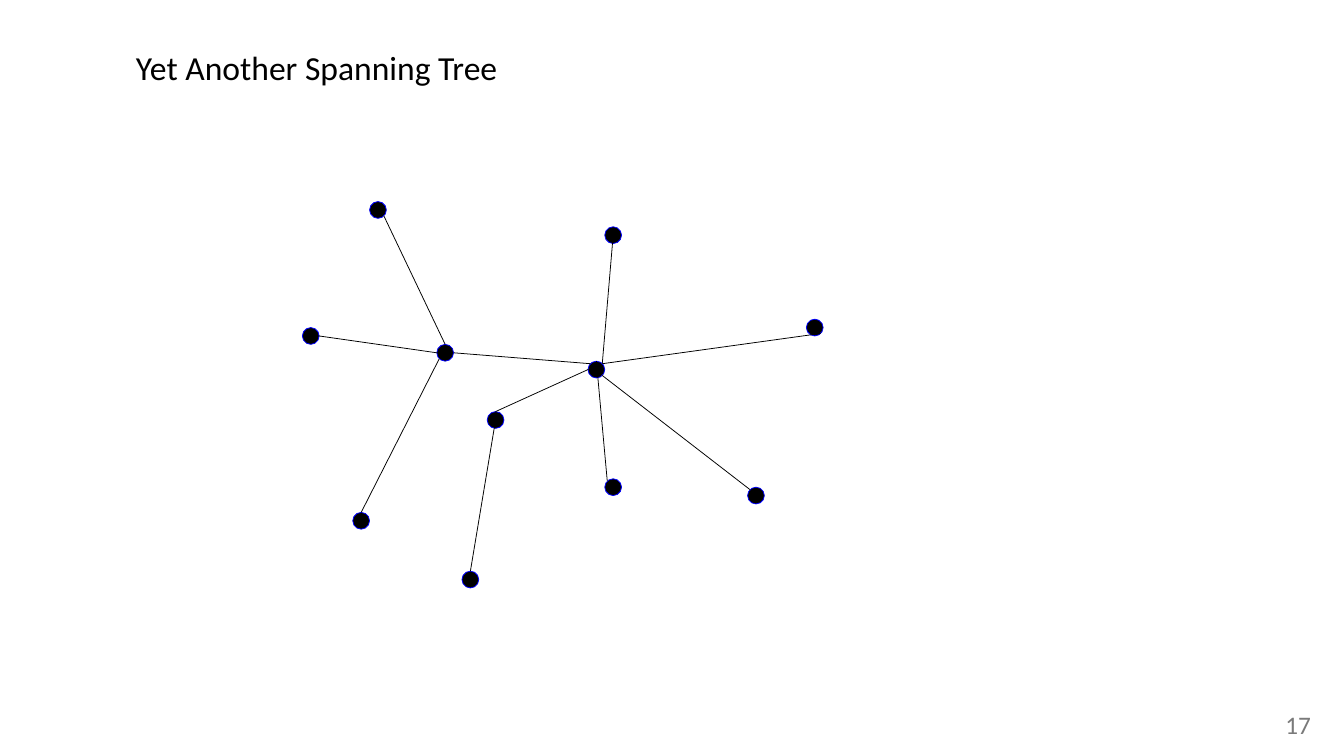
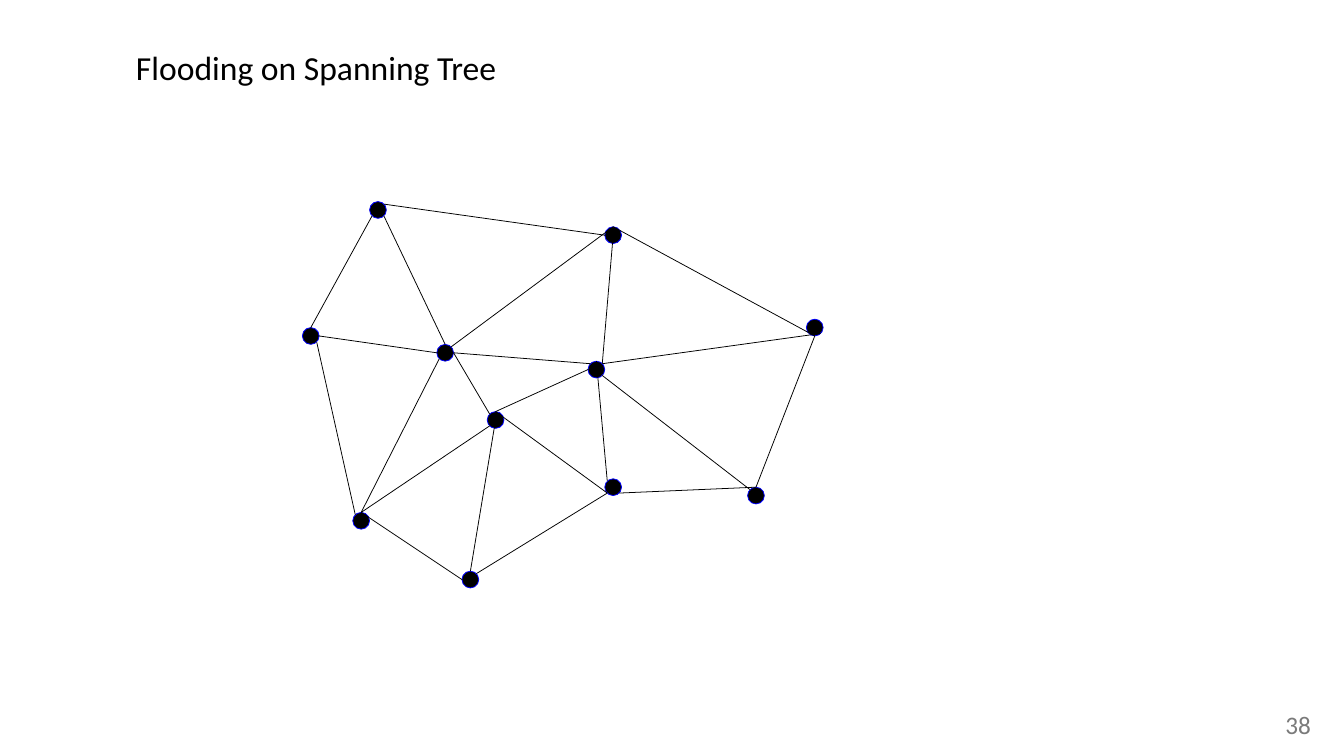
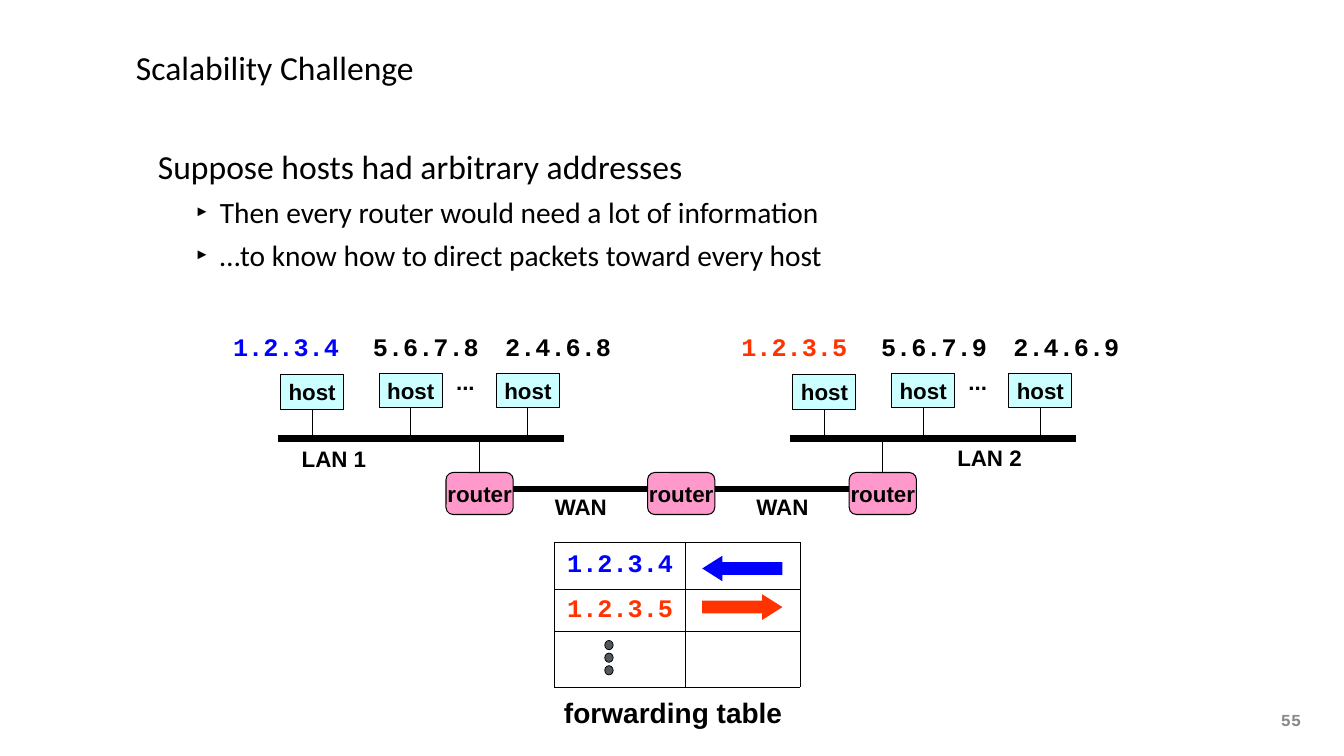
import lxml.etree
import pptx
import pptx.dml.color
import pptx.enum.shapes
import pptx.enum.text
import pptx.oxml.ns
import pptx.util

COLUMNS, ROWS = 160, 90  # the slide's grid; one cell is 8 points
BLACK = pptx.dml.color.RGBColor(0x00, 0x00, 0x00)
BLUE = pptx.dml.color.RGBColor(0x00, 0x00, 0xFF)
ORANGE = pptx.dml.color.RGBColor(0xFF, 0x33, 0x00)
CYAN = pptx.dml.color.RGBColor(0xCC, 0xFF, 0xFF)
PINK = pptx.dml.color.RGBColor(0xFF, 0x99, 0xCC)
SLATE = pptx.dml.color.RGBColor(0x53, 0x58, 0x5F)
GRAY = pptx.dml.color.RGBColor(0x7A, 0x7A, 0x7A)
LIGHT_GRAY = pptx.dml.color.RGBColor(0x89, 0x89, 0x89)
SANS, LABEL, MONO = "Calibri", "Arial", "Courier New"

SHAPE = pptx.enum.shapes.MSO_SHAPE
ALIGN = pptx.enum.text.PP_ALIGN
ANCHOR = pptx.enum.text.MSO_ANCHOR
AUTO_SIZE = pptx.enum.text.MSO_AUTO_SIZE
qn = pptx.oxml.ns.qn

# Node centres in grid cells
NODES = {
    "A": (45, 25), "B": (37, 40), "C": (73, 28), "D": (73, 58),
    "E": (56, 69), "F": (53, 42), "G": (97, 39), "H": (59, 50),
    "I": (43, 62), "J": (71, 44), "K": (90, 59),
}
# Where an edge meets a node, as an offset from its centre
SIDES = {
    "c": (0, 0), "n": (0, -1), "s": (0, 1), "w": (-1, 0), "e": (1, 0),
    "nw": (-0.7, -0.7), "ne": (0.7, -0.7), "sw": (-0.7, 0.7), "se": (0.7, 0.7),
}
TREE_EDGES = ("Ase-Fn Jse-Knw Cc-Jne Jn-Dnw Hc-En Fe-Jnw Be-Fw In-Fsw "
              "Hn-Jw Jne-Gse").split()
OTHER_EDGES = ("Asw-Bn Bse-Inw Fe-Hnw Cn-Gs Gs-Kn In-Ew Hn-Dsw Kn-Dse "
               "In-Hsw Ene-Dsw Ane-Cw Fne-Cn").split()


def cells(count):
    return pptx.util.Pt(8 * count)


def place(box, left, top, width, height):
    box.left, box.top = cells(left), cells(top)
    box.width, box.height = cells(width), cells(height)


def style(para, font, size, color=BLACK, bold=False, align=ALIGN.LEFT):
    para.alignment = align
    para.font.name = font
    para.font.size = pptx.util.Pt(size)
    para.font.color.rgb = color
    para.font.bold = bold


def set_margins(frame, margin):
    frame.margin_left = frame.margin_right = margin
    frame.margin_top = frame.margin_bottom = margin


def write(box, text, font=LABEL, size=21.3, color=BLACK, bold=True,
          align=ALIGN.CENTER, anchor=ANCHOR.MIDDLE):
    """Put one unwrapped line of text in a shape or text box."""
    frame = box.text_frame
    frame.word_wrap = False
    frame.vertical_anchor = anchor
    frame.text = text
    style(frame.paragraphs[0], font, size, color, bold, align)
    return frame


def add_label(page, text, left, top, width, height=4.1, **look):
    box = page.shapes.add_textbox(*map(cells, (left, top, width, height)))
    return write(box, text, **look)


def add_address(page, text, left, top, color):
    add_label(page, text, left, top, 14.5, 4.5, font=MONO, size=24,
              color=color, anchor=ANCHOR.TOP)


def add_block(page, kind, left, top, width, height, fill, outline=None, weight=1):
    block = page.shapes.add_shape(kind, *map(cells, (left, top, width, height)))
    block.shadow.inherit = False
    block.fill.solid()
    block.fill.fore_color.rgb = fill
    if outline is None:
        block.line.fill.background()
    else:
        block.line.color.rgb = outline
        block.line.width = pptx.util.Pt(weight)
    return block


def add_line(page, start, end, weight=1):
    line = page.shapes.add_connector(pptx.enum.shapes.MSO_CONNECTOR.STRAIGHT,
                                     *map(cells, (*start, *end)))
    line.line.color.rgb = BLACK
    line.line.width = pptx.util.Pt(weight)
    lxml.etree.SubElement(line._element.spPr, qn("a:effectLst"))


def add_page(deck, layout, title, number, **number_look):
    page = deck.slides.add_slide(deck.slide_layouts[layout])
    place(page.shapes.title, 15.65, 0, 128.8, 16)
    frame = page.shapes.title.text_frame
    frame.text = title
    frame.vertical_anchor = ANCHOR.MIDDLE
    frame.auto_size = AUTO_SIZE.NONE
    set_margins(frame, pptx.util.Inches(0.06))
    style(frame.paragraphs[0], SANS, 32)
    look = dict(font=SANS, size=24, color=GRAY, bold=False, anchor=ANCHOR.TOP)
    look.update(number_look)
    set_margins(add_label(page, number, 152.5, 84.5, 4.1, 4.5, **look), 0)
    return page


def draw_graph(page, edges):
    for x, y in NODES.values():
        add_block(page, SHAPE.OVAL, x - 1, y - 1, 2, 2, BLACK, BLUE, 0.75)
    for edge in edges:
        ends = []
        for end in edge.split("-"):
            (x, y), (dx, dy) = NODES[end[0]], SIDES[end[1:]]
            ends.append((x + dx, y + dy))
        add_line(page, *ends, weight=0.75)


def fill_body(page, lead, points):
    body = page.placeholders[1]
    place(body, 15.65, 16, 128.8, 17.8)
    frame = body.text_frame
    frame.vertical_anchor = ANCHOR.MIDDLE
    frame.auto_size = AUTO_SIZE.NONE
    set_margins(frame, 0)
    frame.text = "\n".join([lead, *points])
    for index, para in enumerate(frame.paragraphs):
        is_point = index > 0
        para.level = int(is_point)
        para.space_before = pptx.util.Pt(7 if is_point else 0)
        props = para._p.get_or_add_pPr()
        margin, indent = (1.17, -0.33) if is_point else (0.35, 0)
        props.set("marL", str(pptx.util.Inches(margin)))
        props.set("indent", str(pptx.util.Inches(indent)))
        if is_point:
            lxml.etree.SubElement(props, qn("a:buSzPct"), val="50000")
            lxml.etree.SubElement(props, qn("a:buChar"), char="►")
        else:
            lxml.etree.SubElement(props, qn("a:buNone"))
        style(para, SANS, 28 if is_point else 32)


def draw_lan(page, left, address_left, addresses, first_color):
    bus, host_width, host_height = 52.2, 7.5, 4.1
    hosts = [(left + 0.3, 44.6), (left + 12.05, 44.45), (left + 26, 44.45)]
    add_line(page, (left, bus), (left + 34, bus), 6)
    for x, y in hosts:
        middle = x + host_width / 2
        add_line(page, (middle, 48.2), (middle, bus))
        host = add_block(page, SHAPE.RECTANGLE, x, y, host_width, host_height,
                         CYAN, BLACK)
        write(host, "host")
    add_label(page, "...", left + 20.3, 43.4, 4)
    for text, offset, color in zip(addresses, (0, 16.65, 32.4),
                                   (first_color, BLACK, BLACK)):
        add_address(page, text, address_left + offset, 39, color)


def draw_routers(page):
    first, step, width, wan = 53.1, 24, 8, 58.2
    for index in range(3):
        left = first + index * step
        router = add_block(page, SHAPE.ROUNDED_RECTANGLE, left, 56.25, width, 5,
                           PINK, BLACK)
        router.adjustments[0] = 0.17
        write(router, "router")
        if index == 1:
            continue
        add_line(page, (left + width / 2, 52.2), (left + width / 2, 56.25))
    for index in range(2):
        left = first + index * step + width
        add_line(page, (left, wan), (left + step - width, wan), 6)
        add_label(page, "WAN", left + 3.9, 58.3, 8.3)


def set_borders(cell):
    props = cell._tc.get_or_add_tcPr()
    for index, side in enumerate(("lnL", "lnR", "lnT", "lnB")):
        border = lxml.etree.Element(qn(f"a:{side}"), w=str(pptx.util.Pt(0.75)))
        fill = lxml.etree.SubElement(border, qn("a:solidFill"))
        lxml.etree.SubElement(fill, qn("a:srgbClr"), val=str(BLACK))
        props.insert(index, border)


def draw_forwarding_table(page):
    left, top, widths, heights = 66, 64.6, (15.65, 13.6), (5.6, 5, 6.6)
    frame = page.shapes.add_table(3, 2, *map(cells, (left, top, sum(widths),
                                                     sum(heights))))
    table = frame.table
    table.first_row = table.horz_banding = False
    for column, width in zip(table.columns, widths):
        column.width = cells(width)
    for row, height in zip(table.rows, heights):
        row.height = cells(height)
    for cell in table.iter_cells():
        cell.fill.background()
        set_borders(cell)
        set_margins(cell, 0)
        cell.vertical_anchor = ANCHOR.MIDDLE

    routes = [("1.2.3.4", BLUE, SHAPE.LEFT_ARROW, 66.15),
              ("1.2.3.5", ORANGE, SHAPE.RIGHT_ARROW, 70.75)]
    for row, (address, color, direction, arrow_top) in enumerate(routes):
        cell = table.cell(row, 0)
        cell.text = address
        style(cell.text_frame.paragraphs[0], MONO, 24, color, True, ALIGN.CENTER)
        arrow = add_block(page, direction, 83.6, arrow_top, 9.55, 3.05, color)
        arrow.adjustments[1] = 0.79
    for index in range(3):
        add_block(page, SHAPE.OVAL, 72, 76.25 + 1.5 * index, 1, 1.1,
                  SLATE, BLACK, 0.75)
    add_label(page, "forwarding table", 66.15, 82.4, 28, 5, size=26.7,
              anchor=ANCHOR.TOP)


def draw_scalability(page):
    fill_body(page, "Suppose hosts had arbitrary addresses",
              ["Then every router would need a lot of information",
               "…to know how to direct packets toward every host"])
    draw_lan(page, 33.1, 26.8, ("1.2.3.4", "5.6.7.8", "2.4.6.8"), BLUE)
    add_label(page, "LAN 1", 35, 52.55, 9.5)
    draw_lan(page, 94.1, 87.3, ("1.2.3.5", "5.6.7.9", "2.4.6.9"), ORANGE)
    add_label(page, "LAN 2", 113.05, 52.4, 9.5)
    draw_routers(page)
    draw_forwarding_table(page)


def main():
    deck = pptx.Presentation()
    deck.slide_width, deck.slide_height = cells(COLUMNS), cells(ROWS)
    title_only, title_and_body = 5, 1
    draw_graph(add_page(deck, title_only, "Yet Another Spanning Tree", "17"),
               TREE_EDGES)
    draw_graph(add_page(deck, title_only, "Flooding on Spanning Tree", "38"),
               TREE_EDGES + OTHER_EDGES)
    draw_scalability(add_page(deck, title_and_body, "Scalability Challenge", "55",
                              font=MONO, size=16, color=LIGHT_GRAY, bold=True,
                              align=ALIGN.LEFT))
    deck.save("out.pptx")


if __name__ == "__main__":
    main()
